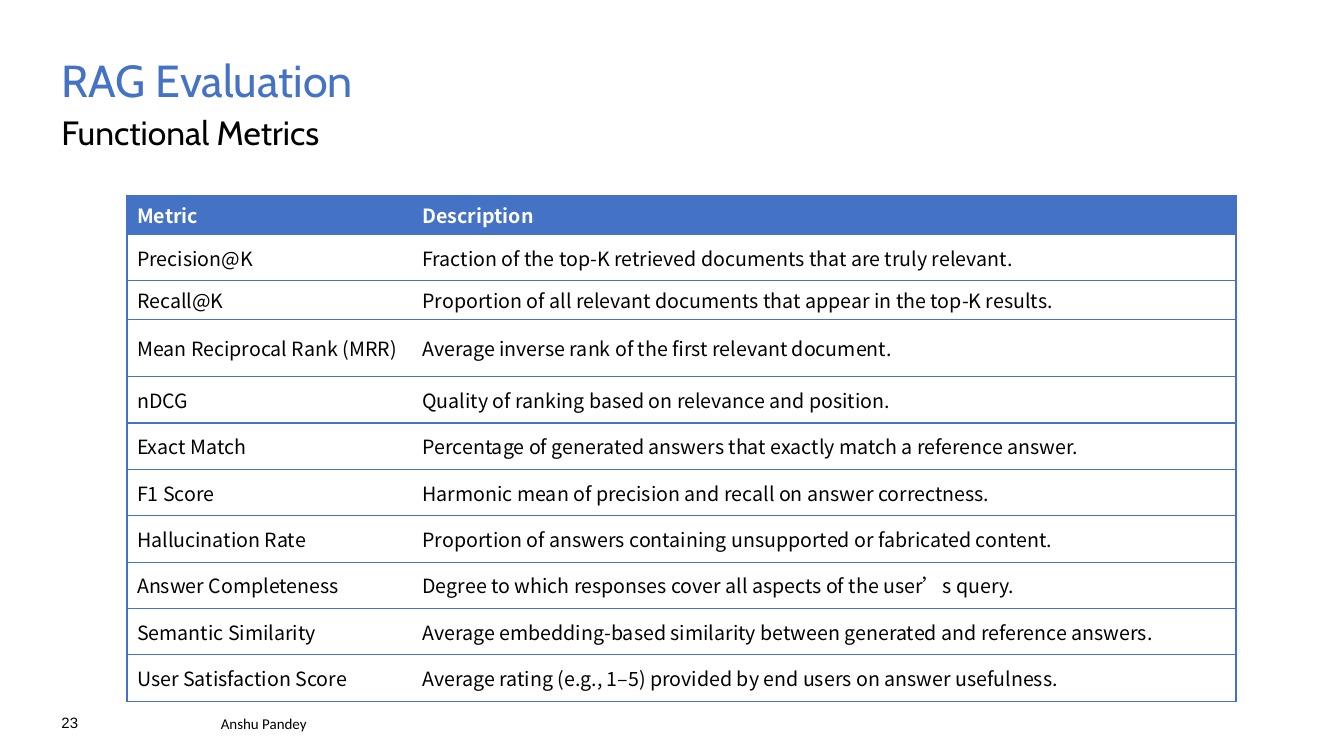
from dataclasses import dataclass

from lxml.etree import SubElement
from pptx import Presentation
from pptx.dml.color import RGBColor
from pptx.enum.text import MSO_ANCHOR, MSO_AUTO_SIZE, PP_ALIGN
from pptx.oxml.ns import qn
from pptx.table import _Cell
from pptx.text.text import TextFrame
from pptx.util import Inches, Pt

BLUE, BLACK, WHITE = "4472C4", "000000", "FFFFFF"
TABLE_FONT = "Noto Sans CJK TC"
COLUMN_WIDTHS = (2.83, 8.17)


@dataclass
class TextStyle:
    font: str
    size: float
    color: str
    bold: bool = False


@dataclass
class MetricRow:
    metric: str
    description: str
    height: float = 0.46


HEADER = MetricRow("Metric", "Description", 0.33)
METRICS = [
    MetricRow("Precision@K", "Fraction of the top-K retrieved documents that are truly relevant."),
    MetricRow("Recall@K", "Proportion of all relevant documents that appear in the top-K results.", 0.33),
    MetricRow("Mean Reciprocal Rank (MRR)", "Average inverse rank of the first relevant document.", 0.57),
    MetricRow("nDCG", "Quality of ranking based on relevance and position."),
    MetricRow("Exact Match", "Percentage of generated answers that exactly match a reference answer."),
    MetricRow("F1 Score", "Harmonic mean of precision and recall on answer correctness."),
    MetricRow("Hallucination Rate", "Proportion of answers containing unsupported or fabricated content."),
    MetricRow("Answer Completeness", "Degree to which responses cover all aspects of the user’s query."),
    MetricRow("Semantic Similarity", "Average embedding-based similarity between generated and reference answers."),
    MetricRow("User Satisfaction Score", "Average rating (e.g., 1–5) provided by end users on answer usefulness."),
]


def rgb(color: str) -> RGBColor:
    return RGBColor.from_string(color)


def write(text_frame: TextFrame, text: str, style: TextStyle) -> None:
    text_frame.text = text
    font = text_frame.paragraphs[0].runs[0].font
    font.name, font.size, font.bold = style.font, Pt(style.size), style.bold
    font.color.rgb = rgb(style.color)


def fill_box(shape, box: tuple, text: str, style: TextStyle,
             anchor: MSO_ANCHOR, wrap: bool = True) -> None:
    """Place a text shape without insets and write one left-aligned line."""
    shape.left, shape.top, shape.width, shape.height = map(Inches, box)
    text_frame = shape.text_frame
    text_frame.margin_left = text_frame.margin_right = 0
    text_frame.margin_top = text_frame.margin_bottom = 0
    text_frame.auto_size = MSO_AUTO_SIZE.NONE
    text_frame.word_wrap = wrap
    text_frame.vertical_anchor = anchor
    write(text_frame, text, style)
    paragraph = text_frame.paragraphs[0]
    paragraph.alignment = PP_ALIGN.LEFT
    paragraph.space_before = Pt(0)


def remove_bullet(text_frame: TextFrame) -> None:
    properties = text_frame.paragraphs[0]._p.get_or_add_pPr()
    properties.set("marL", "0")
    properties.set("indent", "0")
    SubElement(properties, qn("a:buNone"))


def set_borders(cell: _Cell, outer_side: str) -> None:
    """Rule the top, bottom and outer side; leave the inner side open."""
    properties = cell._tc.get_or_add_tcPr()
    for index, side in enumerate(("L", "R", "T", "B")):
        line = properties.makeelement(qn(f"a:ln{side}"), {"w": str(Pt(1))})
        properties.insert(index, line)
        if side in (outer_side, "T", "B"):
            solid_fill = SubElement(line, qn("a:solidFill"))
            SubElement(solid_fill, qn("a:srgbClr"), val=BLUE)
        else:
            SubElement(line, qn("a:noFill"))


def add_metric_table(slide, rows: list[MetricRow]) -> None:
    frame = slide.shapes.add_table(
        len(rows), len(COLUMN_WIDTHS), Inches(1.26), Inches(1.94),
        Inches(sum(COLUMN_WIDTHS)), Inches(sum(row.height for row in rows)))
    table = frame.table
    table.horz_banding = False
    for column, width in zip(table.columns, COLUMN_WIDTHS):
        column.width = Inches(width)
    for row_index, row in enumerate(rows):
        table.rows[row_index].height = Inches(row.height)
        is_header = row_index == 0
        style = TextStyle(TABLE_FONT, 14, WHITE if is_header else BLACK, is_header)
        for column_index, text in enumerate((row.metric, row.description)):
            cell = table.cell(row_index, column_index)
            cell.vertical_anchor = MSO_ANCHOR.MIDDLE
            cell.fill.solid()
            cell.fill.fore_color.rgb = rgb(BLUE if is_header else WHITE)
            write(cell.text_frame, text, style)
            set_borders(cell, "LR"[column_index])


def main() -> None:
    presentation = Presentation()
    presentation.slide_width, presentation.slide_height = Inches(13.33), Inches(7.5)
    slide = presentation.slides.add_slide(presentation.slide_layouts[1])

    title, subtitle = slide.shapes.title, slide.placeholders[1]
    fill_box(title, (0.61, 0.58, 12.12, 0.5), "RAG Evaluation",
             TextStyle("Cabin", 32, BLUE), MSO_ANCHOR.TOP)
    title.text_frame.paragraphs[0].line_spacing = 0.9
    fill_box(subtitle, (0.61, 1.11, 12.12, 0.5), "Functional Metrics",
             TextStyle("Cabin", 24, BLACK), MSO_ANCHOR.TOP)
    remove_bullet(subtitle.text_frame)

    add_metric_table(slide, [HEADER, *METRICS])

    slide_number = slide.shapes.add_textbox(0, 0, 0, 0)
    fill_box(slide_number, (0.61, 7.08, 0.18, 0.18), "23",
             TextStyle("Arial", 10.7, BLACK), MSO_ANCHOR.BOTTOM, wrap=False)
    author = slide.shapes.add_textbox(0, 0, 0, 0)
    fill_box(author, (2.19, 7.09, 2.31, 0.18), "Anshu Pandey",
             TextStyle("Calibri", 10.7, BLACK), MSO_ANCHOR.BOTTOM)

    presentation.save("out.pptx")


if __name__ == "__main__":
    main()
